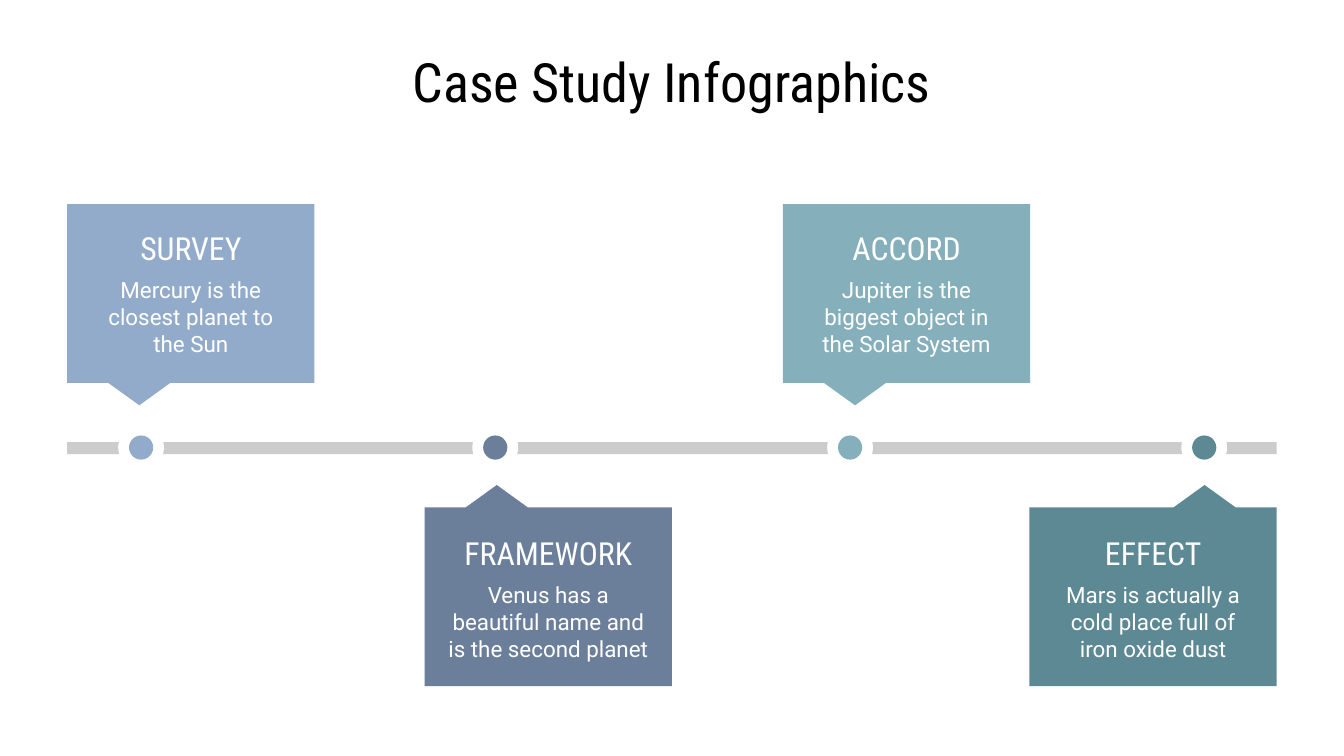
from pptx import Presentation
from pptx.dml.color import RGBColor
from pptx.enum.shapes import MSO_SHAPE
from pptx.enum.text import MSO_ANCHOR, PP_ALIGN

RECT = MSO_SHAPE.RECTANGLE
OVAL = MSO_SHAPE.OVAL
CALL = MSO_SHAPE.RECTANGULAR_CALLOUT
MID, TOP = MSO_ANCHOR.MIDDLE, MSO_ANCHOR.TOP
MIDST = PP_ALIGN.CENTER
PX = 4572

THEME = {
    "line": "CCCCCC",
    "ring": "FFFFFF",
    "title": {"name": "Roboto Condensed", "size": 29, "color": "000000"},
    "head": {"name": "Roboto Condensed", "size": 17, "color": "FFFFFF"},
    "body": {"name": "Roboto", "size": 12, "color": "FFFFFF"},
}

deck = Presentation()
deck.slide_width, deck.slide_height = 2000 * PX, 1125 * PX
slide = deck.slides.add_slide(deck.slide_layouts[6])


def shape(kind, left, top, wide, high, color):
    item = slide.shapes.add_shape(kind, left * PX, top * PX, wide * PX, high * PX)
    item.shadow.inherit = False
    item.fill.solid()
    item.fill.fore_color.rgb = RGBColor.from_string(color)
    item.line.fill.background()
    return item


def label(text, left, top, wide, high, style, anchor):
    box = slide.shapes.add_textbox(left * PX, top * PX, wide * PX, high * PX)
    frame = box.text_frame
    inset = 20 * PX
    form = {
        "word_wrap": True, "vertical_anchor": anchor,
        "margin_left": inset, "margin_right": inset,
        "margin_top": inset, "margin_bottom": inset,
    }
    for key, value in form.items():
        setattr(frame, key, value)
    para = frame.paragraphs[0]
    para.alignment = MIDST
    run = para.add_run()
    run.text = text
    run.font.name = style["name"]
    run.font.size = style["size"] * 12700
    run.font.color.rgb = RGBColor.from_string(style["color"])


label("Case Study Infographics", 100, 90, 1800, 60, THEME["title"], MID)
shape(RECT, 100, 658, 1800, 18, THEME["line"])

UP = {"top": 304, "tip": 0.625, "drop": 47}
DOWN = {"top": 755, "tip": -0.625, "drop": 50}
STEPS = [
    ("SURVEY", "Mercury is the closest planet to the Sun", "93ABCA", 100, UP, -0.208),
    ("FRAMEWORK", "Venus has a beautiful name and is the second planet",
     "6B7F9B", 632, DOWN, -0.208),
    ("ACCORD", "Jupiter is the biggest object in the Solar System",
     "85B0BB", 1165, UP, -0.208),
    ("EFFECT", "Mars is actually a cold place full of iron oxide dust",
     "5D8994", 1532, DOWN, 0.208),
]

for i, (head, body, color, left, row, lean) in enumerate(STEPS):
    mid = 210 + round(i * 1582 / 3)
    for size, fill in ((68, THEME["ring"]), (36, color)):
        shape(OVAL, mid - size // 2, 666 - size // 2, size, size, fill)

    card = shape(CALL, left, row["top"], 368, 266, color)
    card.adjustments[0] = lean
    card.adjustments[1] = row["tip"]

    top = row["top"] + row["drop"]
    label(head, left + 15, top, 338, 36, THEME["head"], MID)
    label(body, left + 15, top + 40, 338, 124, THEME["body"], TOP)

deck.save("out.pptx")
